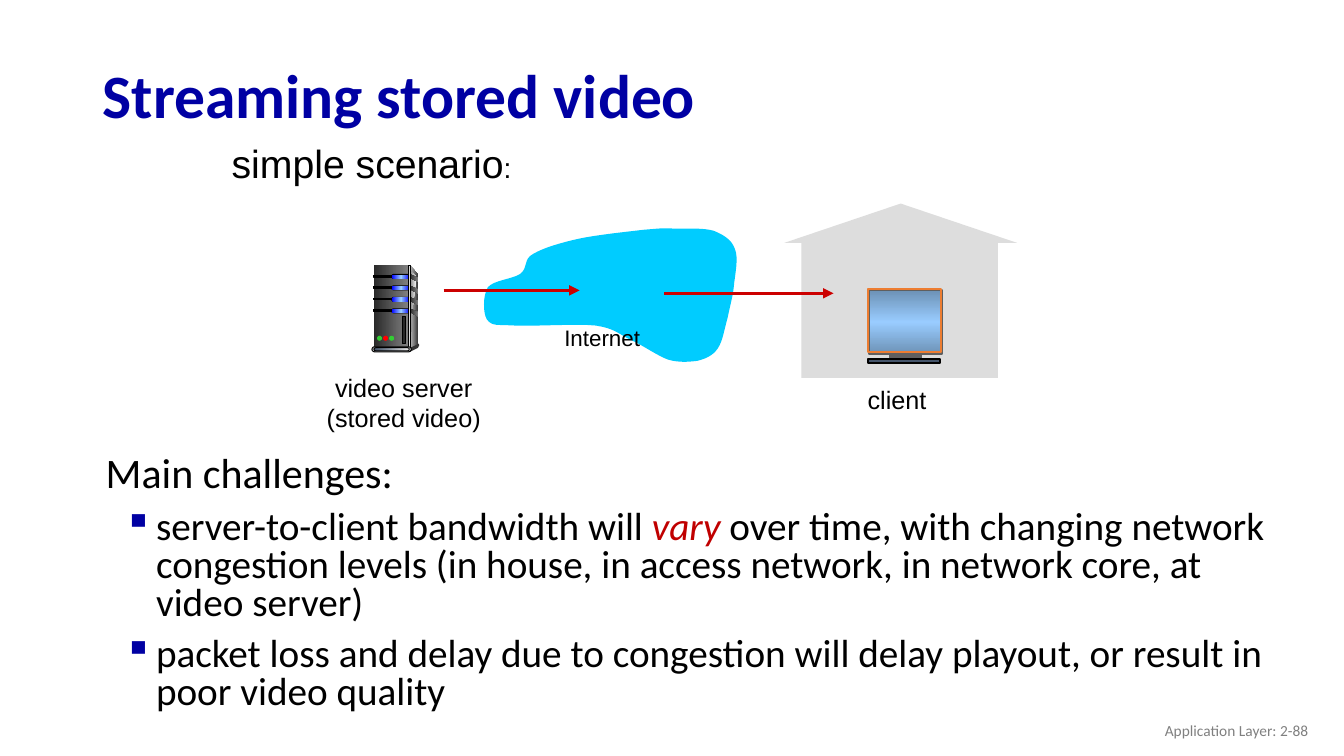
"""Build the slide on streaming stored video."""
from lxml.etree import SubElement
from pptx import Presentation
from pptx.dml.color import RGBColor
from pptx.enum.shapes import MSO_CONNECTOR, MSO_SHAPE
from pptx.enum.text import MSO_ANCHOR, MSO_AUTO_SIZE, PP_ALIGN
from pptx.oxml.ns import qn
from pptx.util import Pt

THEME = {
    "colors": {
        "navy": "0000A3", "black": "000000", "red": "C00000", "arrow": "CC0000",
        "gray": "808080", "house": "DDDDDD", "cloud": "00CCFF", "dark": "333333",
        "coal": "292929", "slate": "44546A", "stand": "5F5F5F", "orange": "ED7D31",
        "green": "33CC33", "lamp": "FF0000", "blue": "0000FF", "sky": "99CCFF",
        "steel": "6D92B6", "pale": "F8F8F8", "light": "E7E6E6",
    },
    "formats": {
        "title": {"name": "Calibri", "size": Pt(44), "bold": True},
        "heading": {"name": "Calibri", "size": Pt(30)},
        "body": {"name": "Calibri", "size": Pt(28)},
        "emphasis": {"name": "Calibri", "size": Pt(28), "italic": True},
        "scenario": {"name": "Arial", "size": Pt(28)},
        "colon": {"name": "Arial", "size": Pt(20)},
        "label": {"name": "Arial", "size": Pt(18)},
        "network": {"name": "Arial", "size": Pt(16)},
        "footer": {"name": "Calibri", "size": Pt(11)},
    },
}
RECTANGLE, PILL, OVAL = MSO_SHAPE.RECTANGLE, MSO_SHAPE.ROUNDED_RECTANGLE, MSO_SHAPE.OVAL


def color(name):
    """Return a theme colour."""
    return RGBColor.from_string(THEME["colors"][name])


def draw(figure, place, fill=None, line=None, weight=0.75, angle=0):
    """Draw a preset in a box, or an outline through points when figure is None."""
    if figure is None:
        points = [(Pt(x), Pt(y)) for x, y in place]
        builder = slide.shapes.build_freeform(*points[0], scale=1.0)
        builder.add_line_segments(points[1:], close=True)
        shape = builder.convert_to_shape()
    else:
        shape = slide.shapes.add_shape(figure, *map(Pt, place))
    if figure == PILL:
        shape.adjustments[0] = 0.5
    shape.shadow.inherit = False
    if fill is None:
        shape.fill.background()
    elif isinstance(fill, str):
        shape.fill.solid()
        shape.fill.fore_color.rgb = color(fill)
    else:
        shape.fill.gradient()
        gradient = shape._element.spPr.find(qn("a:gradFill"))
        stops = gradient.find(qn("a:gsLst"))
        for stop in list(stops):
            stops.remove(stop)
        for index, name in enumerate(fill):
            position = str(index * 100000 // (len(fill) - 1))
            stop = SubElement(stops, qn("a:gs"), pos=position)
            SubElement(stop, qn("a:srgbClr"), val=THEME["colors"][name])
        gradient.find(qn("a:lin")).set("ang", str(angle * 60000))
    if line is None:
        shape.line.fill.background()
    else:
        shape.line.color.rgb = color(line)
        shape.line.width = Pt(weight)


deck = Presentation()
deck.slide_width, deck.slide_height = Pt(960), Pt(540)
slide = deck.slides.add_slide(deck.slide_layouts[6])

draw(MSO_SHAPE.ISOSCELES_TRIANGLE, (560.2, 145.4, 166.3, 28.1), "house")
draw(RECTANGLE, (572.4, 173, 140.4, 97), "house")

server_side = [(293, 189.4), (298.8, 196.6), (298.8, 246.2), (291.6, 248.4)]
server_panel = [(293, 193), (297.4, 198), (294.5, 222), (293, 247)]
draw(None, server_side, ("house", "dark"))
draw(RECTANGLE, (267.1, 189.4, 24.5, 59), ("coal", "gray"))
draw(None, server_panel, ("gray", "pale"))
for drive in range(4):
    top = 196.5 + 8.2 * drive
    vent = [(292.7, top - 0.7), (298.8, top + 2), (298.8, top + 5), (292.7, top + 1.8)]
    draw(None, vent, ("coal", "gray"))
    draw(RECTANGLE, (267.1, top, 13.7, 1.4), "black", "black")
    draw(PILL, (279.4, top - 0.9, 13.7, 3.6), "black")
    draw(PILL, (279.9, top - 0.4, 13, 2.9), ("blue", "sky", "blue"))
draw(RECTANGLE, (291.6, 189.4, 1.4, 59), ("dark", "house", "dark"), "black")
draw(OVAL, (298, 245.5, 1.4, 2.2), "dark")
draw(None, [(293, 248.4), (293, 251.3), (298.8, 248.4), (298, 246.2)], "dark")
draw(PILL, (265.7, 247.7, 28.1, 3.6), "house", "black")
draw(PILL, (267.1, 248.4, 25.2, 2.2), ("slate", "light"), "black")
for index, lamp in enumerate(("green", "lamp", "green")):
    draw(OVAL, (269.3 + 4.3 * index, 239.8, 3.6, 3.6), lamp)
draw(RECTANGLE, (287.3, 226.1, 2.2, 19.4), "coal", "black")

draw(RECTANGLE, (620.6, 207.4, 52.6, 45.4), ("steel", "sky", "steel"), "stand", 1.5, 90)
draw(RECTANGLE, (635.8, 252.7, 22.3, 2.9), "stand", "stand", 1.5)
draw(RECTANGLE, (619.9, 256.3, 51.8, 2.9), "slate", "black", 1.5)
draw(RECTANGLE, (619.9, 206.6, 52.6, 44.6), None, "orange", 1.5)

cloud_curves = [
    ((447.8, 165.6), (426.2, 167.8), (413.3, 170.6)),
    ((400.3, 173.5), (388.1, 177.1), (380.9, 181.4)),
    ((373.7, 185), (377.3, 191.5), (371.5, 195.8)),
    ((365.8, 199.4), (352.8, 200.2), (348.5, 205.2)),
    ((344.9, 211), (344.9, 223.9), (347.8, 228.2)),
    ((351.4, 233.3), (355, 231.8), (367.9, 232.6)),
    ((380.9, 233.3), (411.8, 231.1), (425.5, 232.6)),
    ((439.2, 234.7), (441.4, 238.3), (450, 242.6)),
    ((458.6, 246.2), (469.4, 254.2), (477.4, 257)),
    ((485.3, 259.2), (492.5, 258.5), (498.2, 257.8)),
    ((504, 256.3), (509, 254.2), (512.6, 249.1)),
    ((516.2, 244.1), (517.7, 234), (519.8, 226.8)),
    ((521.3, 218.9), (523.4, 212.4), (524.2, 204.5)),
    ((524.9, 196.6), (527.8, 184.3), (524.9, 177.8)),
    ((522.7, 171.4), (517, 167.8), (509.8, 164.9)),
    ((502.6, 162.7), (490.3, 163.4), (481.7, 163.4)),
    ((473, 162.7), (470.2, 163.4), (459.4, 164.2)),
]
cloud = [cloud_curves[-1][-1]]
for first, second, end in cloud_curves:
    start = cloud[-1]
    for step in range(1, 9):
        t = step / 8
        weights = ((1 - t) ** 3, 3 * t * (1 - t) ** 2, 3 * t * t * (1 - t), t ** 3)
        corners = (start, first, second, end)
        cloud.append(tuple(sum(weight * corner[axis] for weight, corner in zip(weights, corners))
                           for axis in range(2)))
draw(None, cloud[:-1], "cloud")

for left, right, height in ((316.8, 414, 207.4), (474.5, 595.4, 209.5)):
    arrow = slide.shapes.add_connector(
        MSO_CONNECTOR.STRAIGHT, Pt(left), Pt(height), Pt(right), Pt(height))
    arrow.line.color.rgb = color("arrow")
    arrow.line.width = Pt(2.5)
    SubElement(arrow.line._get_or_add_ln(), qn("a:tailEnd"), type="triangle")
    SubElement(arrow._element.spPr, qn("a:effectLst"))

plain = {"alignment": PP_ALIGN.LEFT}
centered = {"alignment": PP_ALIGN.CENTER}
challenge = {"line_spacing": 0.8, "space_before": Pt(10)}
texts = [
    ((66.24, 35.28, 828, 70.56), True, MSO_ANCHOR.MIDDLE, [
        ({"line_spacing": 0.9}, None, [("Streaming stored video", "title", "navy")])]),
    ((66.96, 322.56, 860.4, 200.16), True, MSO_ANCHOR.TOP, [
        ({"line_spacing": 0.8}, (1.44, 0), [("Main challenges:", "heading", "black")]),
        (challenge, (37.44, -23.04), [
            ("server-to-client bandwidth will ", "body", "black"),
            ("vary ", "emphasis", "red"),
            ("over time, with changing network congestion levels (in house, "
             "in access network, in network core, at video server)", "body", "black")]),
        (challenge, (37.44, -23.04), [
            ("packet loss and delay due to congestion will delay playout, "
             "or result in poor video quality", "body", "black")])]),
    ((158.4, 95.76, 216.72, 41.04), False, MSO_ANCHOR.TOP, [
        (plain, None, [("simple scenario", "scenario", "black"), (":", "colon", "black")])]),
    ((223.2, 262.08, 130.32, 55.44), False, MSO_ANCHOR.TOP, [
        (centered, None, [("video server", "label", "black")]),
        (centered, None, [("(stored video)", "label", "black")])]),
    ((612.72, 270.72, 60.48, 28.8), False, MSO_ANCHOR.TOP, [
        (plain, None, [("client", "label", "black")])]),
    ((396, 228.24, 72.72, 26.64), False, MSO_ANCHOR.TOP, [
        (plain, None, [("Internet", "network", "black")])]),
    ((725.76, 507.6, 216, 28.8), True, MSO_ANCHOR.MIDDLE, [
        ({"alignment": PP_ALIGN.RIGHT}, None, [("Application Layer: 2-88", "footer", "gray")])]),
]
for place, wrap, anchor, paragraphs in texts:
    box = slide.shapes.add_textbox(*map(Pt, place))
    frame = box.text_frame
    frame.word_wrap = wrap
    frame.auto_size = MSO_AUTO_SIZE.NONE if wrap else MSO_AUTO_SIZE.SHAPE_TO_FIT_TEXT
    frame.vertical_anchor = anchor
    for index, (layout, indent, spans) in enumerate(paragraphs):
        para = frame.add_paragraph() if index else frame.paragraphs[0]
        if indent:
            margin, hanging = indent
            properties = para._p.get_or_add_pPr()
            properties.set("marL", str(Pt(margin)))
            properties.set("indent", str(Pt(hanging)))
            if hanging:
                bullet_color = SubElement(properties, qn("a:buClr"))
                SubElement(bullet_color, qn("a:srgbClr"), val=THEME["colors"]["navy"])
                SubElement(properties, qn("a:buChar"), char="▪")
        for name, value in layout.items():
            setattr(para, name, value)
        for words, style, ink in spans:
            span = para.add_run()
            span.text = words
            span.font.color.rgb = color(ink)
            for name, value in THEME["formats"][style].items():
                setattr(span.font, name, value)

deck.save("out.pptx")
